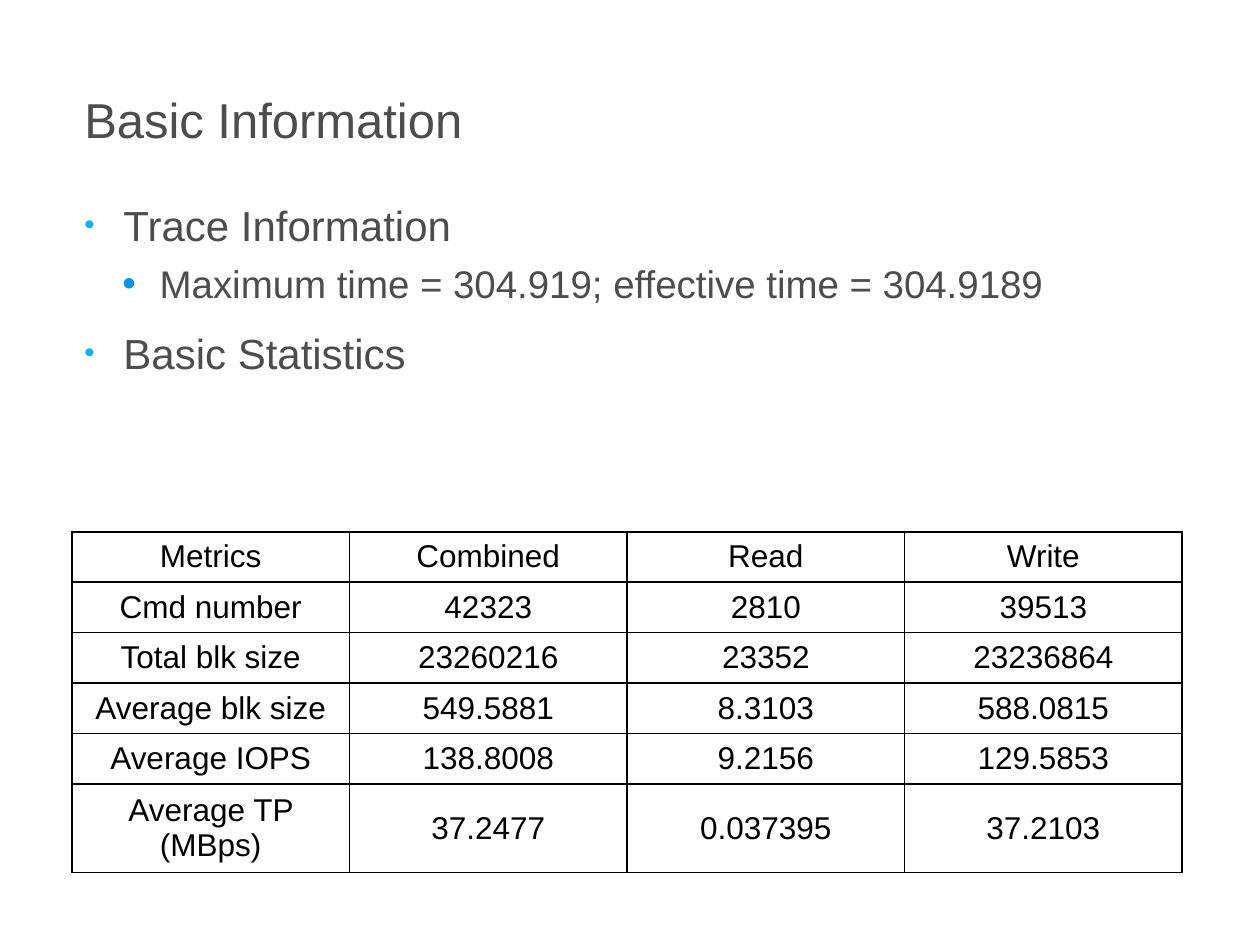
from dataclasses import dataclass

from lxml import etree
from pptx import Presentation
from pptx.dml.color import RGBColor
from pptx.enum import text
from pptx.oxml import ns
from pptx.util import Cm, Pt


@dataclass(frozen=True)
class Theme:
    font: str = "Arial"
    ink: str = "4D4D4D"
    black: str = "000000"
    bullet: str = "15B1F7"
    sub_bullet: str = "0092EF"
    title_size: int = 28
    body_size: int = 24
    sub_size: int = 22
    table_size: int = 18


theme = Theme()


def style_paragraph(paragraph, size, color):
    for run in paragraph.runs:
        run.font.name = theme.font
        run.font.size = Pt(size)
        run.font.color.rgb = RGBColor.from_string(color)


def add_element(parent, tag, **attributes):
    return etree.SubElement(parent, ns.qn(tag), attributes)


presentation = Presentation()
presentation.slide_width = Cm(25.4)
presentation.slide_height = Cm(19.05)
slide = presentation.slides.add_slide(presentation.slide_layouts[6])
left, width = Cm(1.45), Cm(22.38)

# Title
title = slide.shapes.add_textbox(left, Cm(1.8), width, Cm(1.47)).text_frame
title.word_wrap = True
title.margin_top = 0
title.vertical_anchor = text.MSO_ANCHOR.MIDDLE
title.text = "Basic Information"
title.paragraphs[0].line_spacing = 0.9
style_paragraph(title.paragraphs[0], theme.title_size, theme.ink)

# Bullets: wording, level
bullets = [
    ("Trace Information", 0),
    ("Maximum time = 304.919; effective time = 304.9189", 1),
    ("Basic Statistics", 0),
]
# Per level: text size, bullet colour, bullet size, margin, hanging indent, space before
levels = [
    (theme.body_size, theme.bullet, "70000", Cm(0.79), Cm(-0.79), Pt(12)),
    (theme.sub_size, theme.sub_bullet, "100000", Cm(1.52), Cm(-0.75), Pt(6)),
]
body = slide.shapes.add_textbox(left, Cm(3.89), width, Cm(6.2)).text_frame
body.word_wrap = True
body.text = "\n".join(wording for wording, level in bullets)
for paragraph, (wording, level) in zip(body.paragraphs, bullets):
    size, color, bullet_size, margin, indent, space = levels[level]
    paragraph.level = level
    paragraph.space_before = space
    style_paragraph(paragraph, size, theme.ink)
    properties = paragraph._p.get_or_add_pPr()
    properties.set("marL", str(margin))
    properties.set("indent", str(indent))
    add_element(add_element(properties, "a:buClr"), "a:srgbClr", val=color)
    add_element(properties, "a:buSzPct", val=bullet_size)
    add_element(properties, "a:buFont", typeface=theme.font)
    add_element(properties, "a:buChar", char="•")

# Statistics table
statistics = [
    ("Metrics", "Combined", "Read", "Write"),
    ("Cmd number", "42323", "2810", "39513"),
    ("Total blk size", "23260216", "23352", "23236864"),
    ("Average blk size", "549.5881", "8.3103", "588.0815"),
    ("Average IOPS", "138.8008", "9.2156", "129.5853"),
    ("Average TP (MBps)", "37.2477", "0.037395", "37.2103"),
]
table = slide.shapes.add_table(
    len(statistics), len(statistics[0]), left, Cm(10.72), width, Cm(5.4)
).table
table.first_row = table.horz_banding = False
for row, values in zip(table.rows, statistics):
    row.height = Cm(0.9)
    for cell, value in zip(row.cells, values):
        cell.text = value
        cell.vertical_anchor = text.MSO_ANCHOR.MIDDLE
        paragraph = cell.text_frame.paragraphs[0]
        paragraph.alignment = text.PP_ALIGN.CENTER
        style_paragraph(paragraph, theme.table_size, theme.black)
        properties = cell._tc.get_or_add_tcPr()
        for side in ("a:lnL", "a:lnR", "a:lnT", "a:lnB"):
            line = add_element(properties, side, w=str(Pt(1)))
            add_element(add_element(line, "a:solidFill"), "a:srgbClr", val=theme.black)
        cell.fill.background()

presentation.save("out.pptx")
